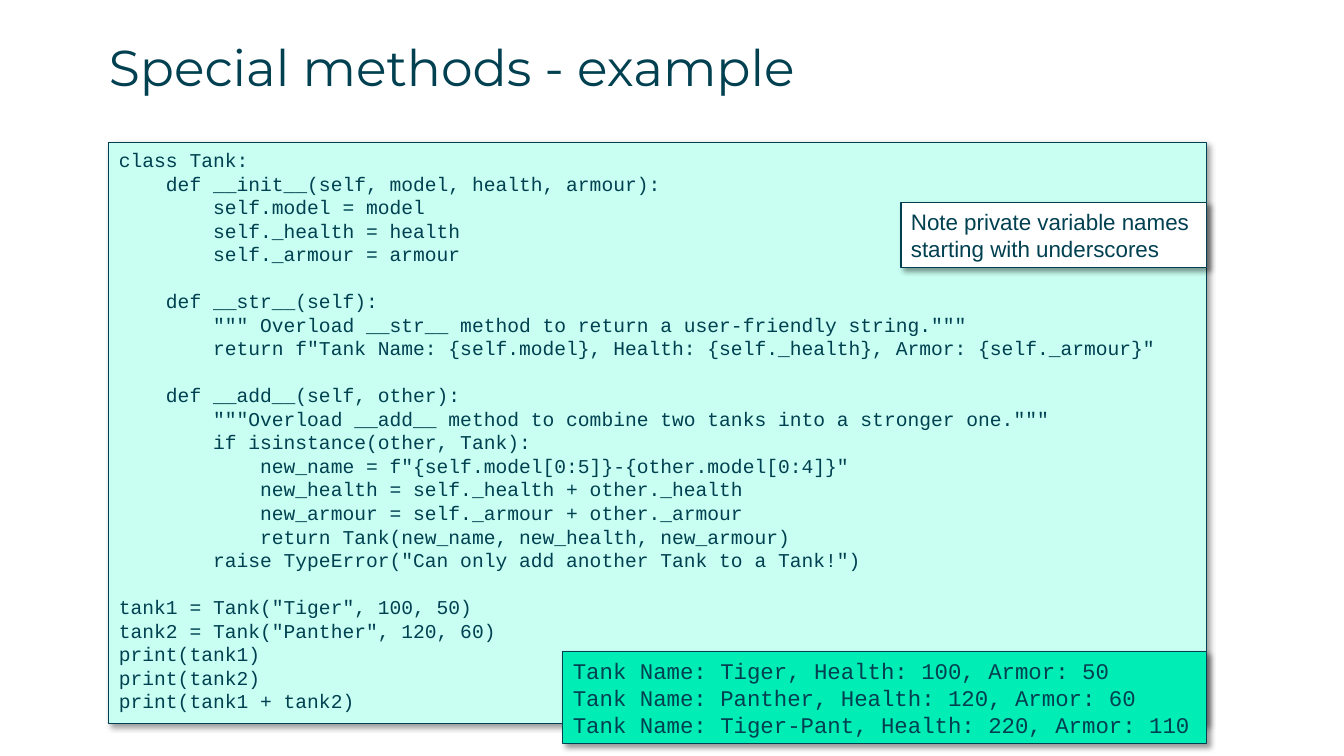
import lxml.etree
import pptx
import pptx.util
from pptx.dml.color import RGBColor
from pptx.enum.shapes import MSO_SHAPE
from pptx.enum.text import MSO_ANCHOR, MSO_AUTO_SIZE, PP_ALIGN
from pptx.oxml.ns import qn

PX = 914400 / 100.8
COLORS = {
    "ink": "004050",
    "code": "C8FFF2",
    "output": "00EDB5",
    "note": "FFFFFF",
    "shadow": "000000",
}
LEFT, RIGHT = 109, 1207

INIT_CODE = '''class Tank:
    def __init__(self, model, health, armour):
        self.model = model
        self._health = health
        self._armour = armour'''

STR_CODE = '''    def __str__(self):
        """ Overload __str__ method to return a user-friendly string."""
        return f"Tank Name: {self.model}, Health: {self._health}, Armor: {self._armour}"'''

ADD_CODE = '''    def __add__(self, other):
        """Overload __add__ method to combine two tanks into a stronger one."""
        if isinstance(other, Tank):
            new_name = f"{self.model[0:5]}-{other.model[0:4]}"
            new_health = self._health + other._health
            new_armour = self._armour + other._armour
            return Tank(new_name, new_health, new_armour)
        raise TypeError("Can only add another Tank to a Tank!")'''

USAGE_CODE = '''tank1 = Tank("Tiger", 100, 50)
tank2 = Tank("Panther", 120, 60)
print(tank1)
print(tank2)
print(tank1 + tank2)'''

OUTPUT = '''Tank Name: Tiger, Health: 100, Armor: 50
Tank Name: Panther, Health: 120, Armor: 60
Tank Name: Tiger-Pant, Health: 220, Armor: 110'''


def px(n):
    return pptx.util.Emu(round(n * PX))


def rgb(name):
    return RGBColor.from_string(COLORS[name])


def write(tf, text, font, size):
    """Fill a text frame, one left-aligned paragraph per line."""
    tf.word_wrap = True
    tf.vertical_anchor = MSO_ANCHOR.TOP
    tf.text = text
    for p in tf.paragraphs:
        p.alignment = PP_ALIGN.LEFT
        for r in p.runs:
            r.font.name = font
            r.font.size = pptx.util.Pt(size)
            r.font.color.rgb = rgb("ink")
        if not p.runs:
            # An empty code line takes its height from the end mark.
            end = lxml.etree.SubElement(p._p, qn("a:endParaRPr"), sz=str(size * 100))
            lxml.etree.SubElement(end, qn("a:latin"), typeface=font)


def add_shadow(sp):
    """Soft black shadow, down and to the right."""
    sp.shadow.inherit = False
    effects = sp._element.spPr.find(qn("a:effectLst"))
    outer = lxml.etree.SubElement(
        effects, qn("a:outerShdw"), blurRad=str(pptx.util.Pt(4)),
        dist=str(pptx.util.Pt(3)), dir=str(45 * 60000), algn="tl", rotWithShape="0")
    color = lxml.etree.SubElement(outer, qn("a:srgbClr"), val=COLORS["shadow"])
    lxml.etree.SubElement(color, qn("a:alpha"), val="40000")


def add_title(s, text):
    tb = s.shapes.add_textbox(px(LEFT), px(36), px(RIGHT - LEFT), px(89))
    tf = tb.text_frame
    tf.margin_left = tf.margin_top = tf.margin_right = tf.margin_bottom = 0
    write(tf, text, "Montserrat", 36)


def add_panel(s, left, top, height, fill, text, font, size):
    """Outlined, shadowed text panel ending at the common right edge."""
    sp = s.shapes.add_shape(
        MSO_SHAPE.RECTANGLE, px(left), px(top), px(RIGHT - left), px(height))
    sp.fill.solid()
    sp.fill.fore_color.rgb = rgb(fill)
    sp.line.color.rgb = rgb("ink")
    sp.line.width = pptx.util.Pt(0.75)
    add_shadow(sp)
    write(sp.text_frame, text, font, size)
    sp.text_frame.auto_size = MSO_AUTO_SIZE.SHAPE_TO_FIT_TEXT


def main():
    prs = pptx.Presentation()
    prs.slide_width, prs.slide_height = px(1344), px(756)
    s = prs.slides.add_slide(prs.slide_layouts[6])
    add_title(s, "Special methods - example")
    code = "\n\n".join([INIT_CODE, STR_CODE, ADD_CODE, USAGE_CODE])
    add_panel(s, LEFT, 143, 581, "code", code, "Courier New", 14)
    add_panel(s, 563, 652, 92, "output", OUTPUT, "Courier New", 16)
    add_panel(s, 901, 203, 65, "note",
              "Note private variable names starting with underscores", "Arial", 16)
    prs.save("out.pptx")


if __name__ == "__main__":
    main()
